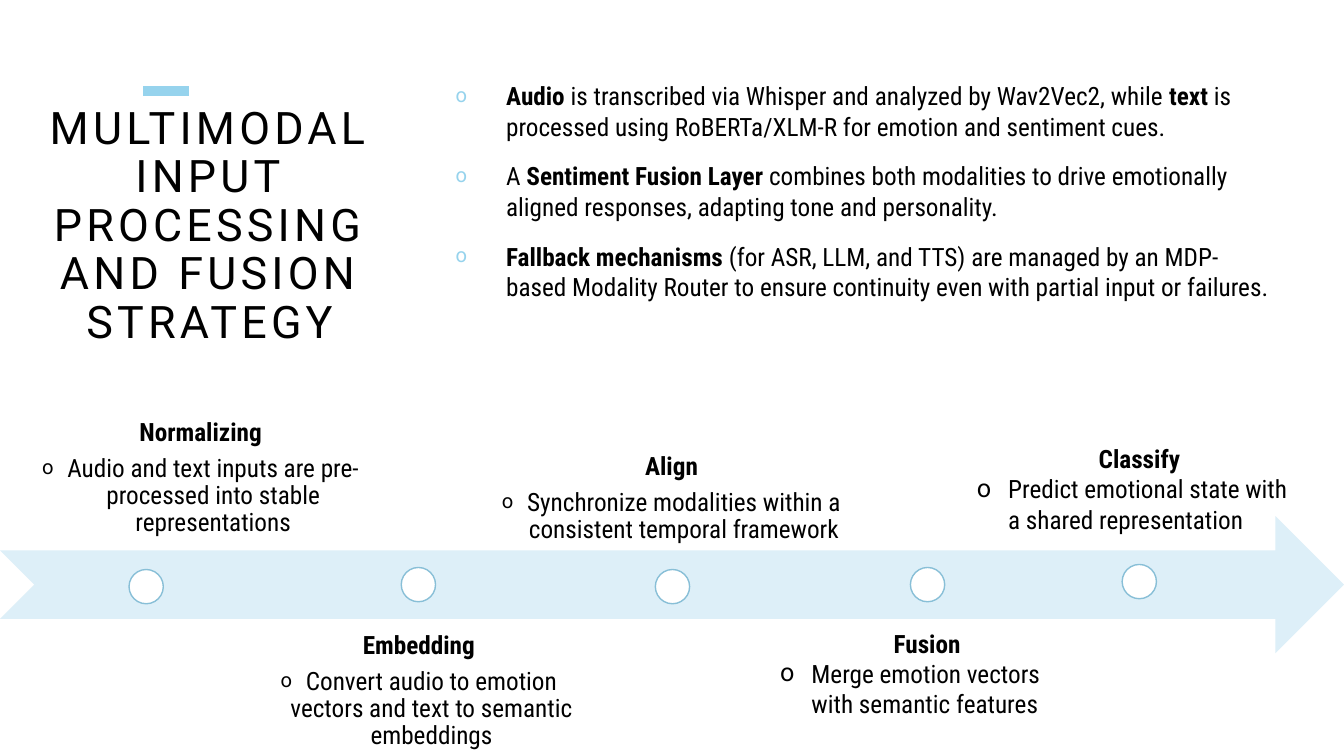
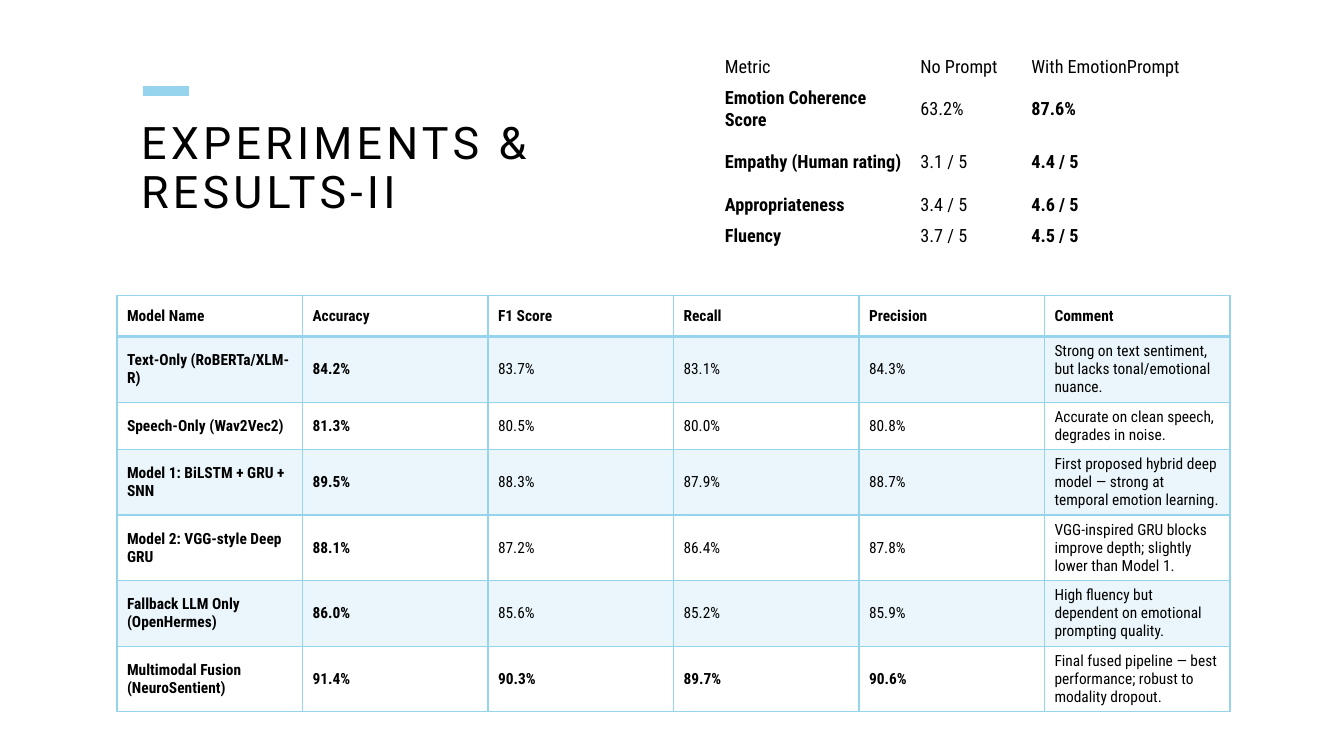
import pptx
import pptx.util
import pptx.dml.color
import pptx.enum.shapes
import pptx.enum.text
import pptx.oxml.ns
from lxml import etree

Inches = pptx.util.Inches
Pt = pptx.util.Pt
ALIGN = pptx.enum.text.PP_ALIGN
ANCHOR = pptx.enum.text.MSO_ANCHOR
SHAPE = pptx.enum.shapes.MSO_SHAPE

COLORS = {"accent": "96D3ED", "arrow": "DDEFF8", "band": "EAF6FB",
          "ring": "88BFD7", "text": "000000", "white": "FFFFFF"}
TITLE_FONT, BODY_FONT = "Roboto", "Roboto Condensed"

KEY_POINTS = [
    "|Audio| is transcribed via Whisper and analyzed by Wav2Vec2, while |text| is processed using RoBERTa/XLM-R for emotion and sentiment cues.",
    "A |Sentiment Fusion Layer| combines both modalities to drive emotionally aligned responses, adapting tone and personality.",
    "|Fallback mechanisms| (for ASR, LLM, and TTS) are managed by an MDP-based Modality Router to ensure continuity even with partial input or failures.",
]

CENTERED_STAGES = [
    ("Normalizing", "Audio and text inputs are pre-processed into stable representations",
     (0, 4.11, 3.98, 1.36), ANCHOR.BOTTOM),
    ("Embedding", "Convert audio to emotion vectors and text to semantic embeddings",
     (2.31, 6.14, 3.69, 1.36), ANCHOR.TOP),
    ("Align", "Synchronize modalities within a consistent temporal framework",
     (4.62, 4.61, 4.08, 0.93), ANCHOR.BOTTOM),
]
LEFT_STAGES = [
    ("Fusion", "Merge emotion vectors with semantic features", (7.64, 6.18, 3.11, 1.01)),
    ("Classify", "Predict emotional state with a shared representation", (9.59, 4.35, 3.42, 1.01)),
]
MILESTONES = [(1.28, 0.53), (3.98, 0.51), (6.5, 0.53), (9.03, 0.51), (11.13, 0.48)]

MODEL_ROWS = [
    ("Model Name", "Accuracy", "F1 Score", "Recall", "Precision", "Comment"),
    ("Text-Only (RoBERTa/XLM-R)", "84.2%", "83.7%", "83.1%", "84.3%",
     "Strong on text sentiment, but lacks tonal/emotional nuance."),
    ("Speech-Only (Wav2Vec2)", "81.3%", "80.5%", "80.0%", "80.8%",
     "Accurate on clean speech, degrades in noise."),
    ("Model 1: BiLSTM + GRU + SNN", "89.5%", "88.3%", "87.9%", "88.7%",
     "First proposed hybrid deep model — strong at temporal emotion learning."),
    ("Model 2: VGG-style Deep GRU", "88.1%", "87.2%", "86.4%", "87.8%",
     "VGG-inspired GRU blocks improve depth; slightly lower than Model 1."),
    ("Fallback LLM Only (OpenHermes)", "86.0%", "85.6%", "85.2%", "85.9%",
     "High fluency but dependent on emotional prompting quality."),
    ("Multimodal Fusion (NeuroSentient)", "91.4%", "90.3%", "89.7%", "90.6%",
     "Final fused pipeline — best performance; robust to modality dropout."),
]
PROMPT_ROWS = [
    ("Metric", "No Prompt", "With EmotionPrompt"),
    ("Emotion Coherence Score", "63.2%", "87.6%"),
    ("Empathy (Human rating)", "3.1 / 5", "4.4 / 5"),
    ("Appropriateness", "3.4 / 5", "4.6 / 5"),
    ("Fluency", "3.7 / 5", "4.5 / 5"),
]


def rgb(name):
    return pptx.dml.color.RGBColor.from_string(COLORS[name])


def inches(box):
    return [Inches(length) for length in box]


def add_xml(parent, tag, **attributes):
    return etree.SubElement(parent, pptx.oxml.ns.qn(tag), attributes)


def style_run(run, size, bold=False, font=BODY_FONT):
    run.font.name = font
    run.font.size = Pt(size)
    run.font.bold = bold
    run.font.color.rgb = rgb("text")


def add_bullet(paragraph, indent, color="text", percent=100):
    props = paragraph._p.get_or_add_pPr()
    props.set("marL", str(Inches(indent)))
    props.set("indent", str(-Inches(indent)))
    add_xml(add_xml(props, "a:buClr"), "a:srgbClr", val=COLORS[color])
    add_xml(props, "a:buSzPct", val=str(percent * 1000))
    add_xml(props, "a:buFont", typeface=TITLE_FONT)
    add_xml(props, "a:buChar", char="o")


def add_frame(slide, box, margins=(0, 0), anchor=ANCHOR.TOP):
    frame = slide.shapes.add_textbox(*inches(box)).text_frame
    frame.word_wrap = True
    frame.vertical_anchor = anchor
    frame.margin_left = frame.margin_right = Inches(margins[0])
    frame.margin_top = frame.margin_bottom = Inches(margins[1])
    return frame


def add_heading(slide, box, title, align=ALIGN.LEFT):
    accent = slide.shapes.add_connector(
        pptx.enum.shapes.MSO_CONNECTOR.STRAIGHT, *inches((1.42, 0.9, 1.87, 0.9)))
    accent.line.color.rgb = rgb("accent")
    accent.line.width = Pt(7)
    add_xml(accent._element.spPr, "a:effectLst")
    paragraph = add_frame(slide, box).paragraphs[0]
    paragraph.text = title
    paragraph.alignment = align
    paragraph.line_spacing = 0.9
    style_run(paragraph.runs[0], 32, font=TITLE_FONT)
    paragraph.runs[0].font._element.set("spc", "300")


def add_key_points(slide, box):
    frame = add_frame(slide, box)
    for index, point in enumerate(KEY_POINTS):
        paragraph = frame.paragraphs[0] if index == 0 else frame.add_paragraph()
        if index:
            paragraph.space_before = Pt(14)
        add_bullet(paragraph, 0.5, "accent", 80)
        for part, phrase in enumerate(point.split("|")):
            if phrase:
                run = paragraph.add_run()
                run.text = phrase
                style_run(run, 18, bold=part % 2 == 1)


def add_stage(frame, name, detail):
    frame.text = name + "\n" + detail
    heading, description = frame.paragraphs
    heading.alignment = ALIGN.CENTER
    style_run(heading.runs[0], 18, bold=True)
    style_run(description.runs[0], 18)
    return heading, description


def add_centered_stage(slide, box, name, detail, anchor):
    heading, description = add_stage(add_frame(slide, box, (0.14, 0.14), anchor), name, detail)
    heading.space_after = Pt(6)
    heading.line_spacing = description.line_spacing = 0.9
    description.alignment = ALIGN.CENTER
    add_bullet(description, 0.25, percent=80)


def add_left_stage(slide, box, name, detail):
    frame = add_frame(slide, box, (0.1, 0.05))
    frame.auto_size = pptx.enum.text.MSO_AUTO_SIZE.SHAPE_TO_FIT_TEXT
    description = add_stage(frame, name, detail)[1]
    add_bullet(description, 0.31)


def add_filled(slide, kind, box, fill):
    shape = slide.shapes.add_shape(kind, *inches(box))
    shape.shadow.inherit = False
    shape.fill.solid()
    shape.fill.fore_color.rgb = rgb(fill)
    shape.line.fill.background()
    return shape


def add_timeline(slide, box):
    left, top = box[:2]
    add_filled(slide, SHAPE.NOTCHED_RIGHT_ARROW, box, "arrow")
    for across, down in MILESTONES:
        milestone = add_filled(slide, SHAPE.OVAL, (left + across, top + down, 0.34, 0.34), "white")
        milestone.line.color.rgb = rgb("ring")
        milestone.line.width = Pt(1)
    for name, detail, stage_box, anchor in CENTERED_STAGES:
        add_centered_stage(slide, stage_box, name, detail, anchor)
    for name, detail, stage_box in LEFT_STAGES:
        add_left_stage(slide, stage_box, name, detail)


def set_borders(cell, widths):
    props = cell._tc.get_or_add_tcPr()
    for index, (side, width) in enumerate(widths.items()):
        border = etree.Element(pptx.oxml.ns.qn("a:" + side), w=str(Pt(width)))
        add_xml(add_xml(border, "a:solidFill"), "a:srgbClr", val=COLORS["accent"])
        props.insert(index, border)


def add_grid(slide, position, rows, widths, heights, size, is_bold):
    box = (*position, sum(widths), sum(heights))
    table = slide.shapes.add_table(len(rows), len(widths), *inches(box)).table
    table.horz_banding = table.first_row = False
    for column, width in zip(table.columns, widths):
        column.width = Inches(width)
    for row, height in zip(table.rows, heights):
        row.height = Inches(height)
    for r, values in enumerate(rows):
        for c, value in enumerate(values):
            cell = table.cell(r, c)
            cell.text_frame.text = value
            cell.vertical_anchor = ANCHOR.MIDDLE
            cell.fill.background()
            style_run(cell.text_frame.paragraphs[0].runs[0], size, is_bold(r, c))
    return table


def add_model_table(slide, position):
    last = len(MODEL_ROWS) - 1
    table = add_grid(slide, position, MODEL_ROWS, [1.84] * 6, [0.41] * 7, 11,
                     lambda r, c: r == 0 or c < 2 or (r == last and c < 5))
    for r in range(len(MODEL_ROWS)):
        for c in range(6):
            cell = table.cell(r, c)
            if r % 2:
                cell.fill.solid()
                cell.fill.fore_color.rgb = rgb("band")
            set_borders(cell, {"lnL": 1, "lnR": 1, "lnT": 2 if r == 1 else 1,
                               "lnB": 2 if r == 0 else 1})


def add_prompt_table(slide, position):
    table = add_grid(slide, position, PROMPT_ROWS, [1.94, 1.1, 1.89],
                     [0.31, 0.53, 0.53, 0.31, 0.31], 13, lambda r, c: r > 0 and c != 1)
    for cell in table.iter_cells():
        cell.margin_left = cell.margin_right = Inches(0.07)
        cell.margin_top = cell.margin_bottom = Inches(0.04)


def build_fusion_slide(slide):
    add_heading(slide, (0.2, 1.05, 3.76, 2.48),
                "MULTIMODAL INPUT PROCESSING AND FUSION STRATEGY", ALIGN.CENTER)
    add_key_points(slide, (4.52, 0.8, 8.14, 2.48))
    add_timeline(slide, (0, 5.12, 13.33, 1.36))


def build_results_slide(slide):
    add_heading(slide, (1.4, 1.2, 5.5, 2), "EXPERIMENTS & RESULTS-II")
    add_model_table(slide, (1.16, 2.93))
    add_prompt_table(slide, (7.12, 0.51))


def main():
    deck = pptx.Presentation()
    deck.slide_width, deck.slide_height = Inches(13.33), Inches(7.5)
    for build in (build_fusion_slide, build_results_slide):
        build(deck.slides.add_slide(deck.slide_layouts[6]))
    deck.save("out.pptx")


if __name__ == "__main__":
    main()
